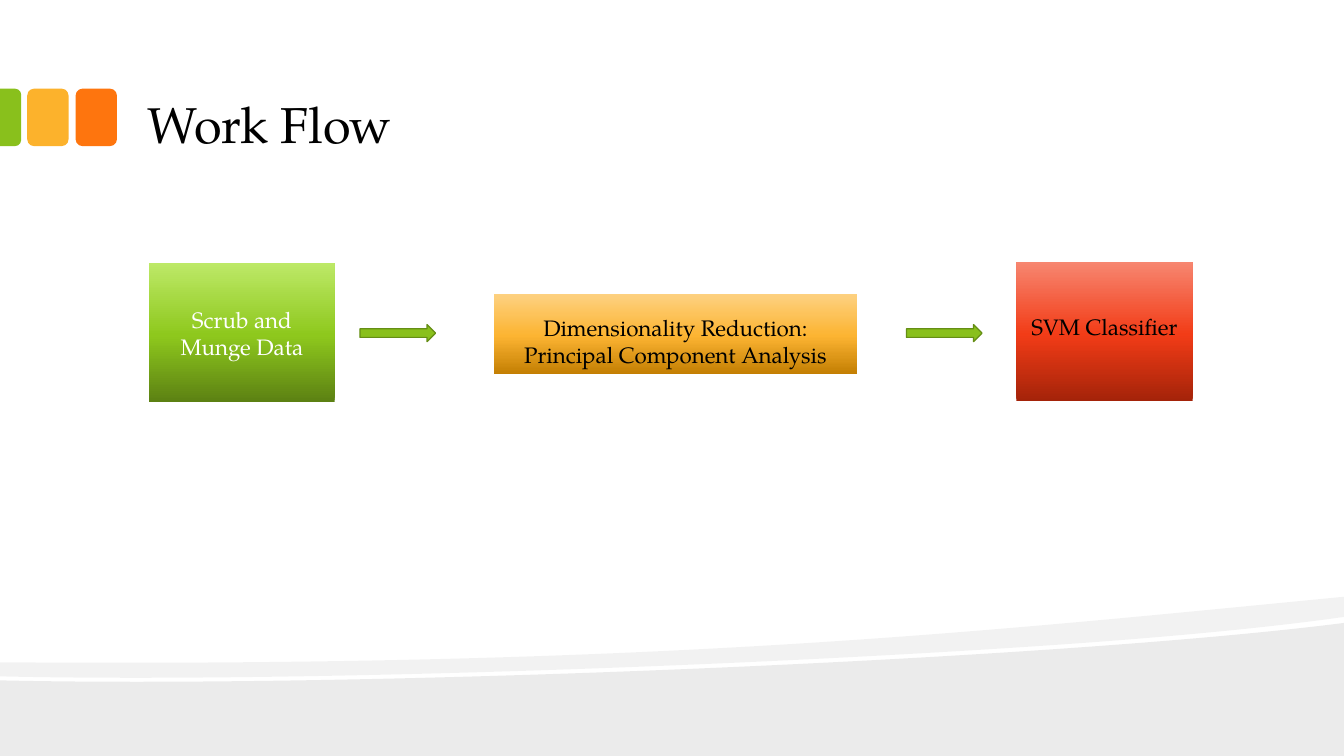
from copy import deepcopy
from dataclasses import dataclass

from lxml.etree import SubElement
from pptx import Presentation
from pptx.dml.color import RGBColor
from pptx.enum.shapes import MSO_SHAPE
from pptx.enum.text import MSO_ANCHOR, MSO_AUTO_SIZE, PP_ALIGN
from pptx.oxml.ns import qn
from pptx.util import Inches, Pt


@dataclass(frozen=True)
class Theme:
    font: str = "TeX Gyre Pagella"
    title_size: int = 36
    step_size: int = 16
    black: str = "000000"
    white: str = "FFFFFF"
    green: str = "89C01C"
    amber: str = "FCB22C"
    orange: str = "FE750E"
    arrow_edge: str = "658E15"
    green_gradient: tuple = ("5C8113", "8EC81D", "BDE967")
    amber_gradient: tuple = ("C47F03", "FCB432", "FDD180")
    red_gradient: tuple = ("A42309", "F23C17", "F78670")
    gradient_stops: tuple = (0, 0.48, 1)


THEME = Theme()


def rgb(value):
    return RGBColor.from_string(value)


def write_text(shape, text, *, size, color=THEME.black, align=PP_ALIGN.CENTER,
               anchor=MSO_ANCHOR.MIDDLE, insets=(0.1, 0.05, 0.1, 0.05)):
    """Fill the shape with one paragraph per line; insets run left, top, right, bottom."""
    frame = shape.text_frame
    frame.text = text
    frame.word_wrap = True
    frame.auto_size = MSO_AUTO_SIZE.NONE
    frame.vertical_anchor = anchor
    (frame.margin_left, frame.margin_top,
     frame.margin_right, frame.margin_bottom) = map(Inches, insets)
    for paragraph in frame.paragraphs:
        paragraph.alignment = align
        paragraph.font.name = THEME.font
        paragraph.font.size = Pt(size)
        paragraph.font.color.rgb = rgb(color)


def add_plain_shape(slide, kind, box, fill=None, edge=None):
    shape = slide.shapes.add_shape(kind, *map(Inches, box))
    shape.shadow.inherit = False
    if fill:
        shape.fill.solid()
        shape.fill.fore_color.rgb = rgb(fill)
    if edge:
        shape.line.color.rgb = rgb(edge)
        shape.line.width = Pt(0.85)
    else:
        shape.line.fill.background()
    return shape


def add_step(slide, kind, box, gradient, text, **text_format):
    step = add_plain_shape(slide, kind, box)
    step.fill.gradient()
    step.fill.gradient_angle = 90
    stop_list = step._element.spPr.find(".//" + qn("a:gsLst"))
    stop_list.append(deepcopy(stop_list[-1]))
    for stop, color, position in zip(step.fill.gradient_stops, gradient,
                                     THEME.gradient_stops):
        stop.color.rgb = rgb(color)
        stop.position = position
    write_text(step, text, size=THEME.step_size, **text_format)


def add_wave(slide, outline, curve_starts, opacity):
    """Draw a closed outline; three segments from each curve start become one Bezier."""
    points = [(Inches(x), Inches(y)) for x, y in outline]
    builder = slide.shapes.build_freeform(*points[0])
    builder.add_line_segments(points[1:], close=True)
    wave = builder.convert_to_shape()
    segments = wave._element.spPr.findall(".//" + qn("a:lnTo"))
    for first in curve_starts:
        bend, *rest = segments[first:first + 3]
        bezier = SubElement(bend.getparent(), qn("a:cubicBezTo"))
        bend.addprevious(bezier)
        for segment in (bend, *rest):
            bezier.append(segment[0])
            segment.getparent().remove(segment)
    wave.shadow.inherit = False
    wave.line.fill.background()
    wave.fill.solid()
    wave.fill.fore_color.rgb = rgb(THEME.black)
    color = wave._element.spPr.find(".//" + qn("a:srgbClr"))
    SubElement(color, qn("a:alpha"), val=str(opacity * 1000))


def add_waves(slide):
    add_wave(slide, [(0, 6.75), (3.52, 6.83), (10.42, 6.55), (13.33, 6.18),
                     (13.33, 7.5), (0, 7.5)], curve_starts=(0,), opacity=8)
    add_wave(slide, [(0, 6.57), (6.52, 6.62), (9.71, 6.27), (13.33, 5.92),
                     (13.33, 6.12), (12.56, 6.23), (11.49, 6.33), (10.29, 6.41),
                     (6.98, 6.63), (2.58, 6.77), (0, 6.71)],
             curve_starts=(0, 4, 7), opacity=5)


def add_title_tabs(slide):
    for left, color in ((0.75, THEME.orange), (0.27, THEME.amber)):
        add_plain_shape(slide, MSO_SHAPE.ROUNDED_RECTANGLE,
                        (left, 0.88, 0.41, 0.57), color)
    edge_tab = add_plain_shape(slide, MSO_SHAPE.ROUND_2_SAME_RECTANGLE,
                               (-0.18, 1.06, 0.57, 0.21), THEME.green)
    edge_tab.rotation = 90
    edge_tab.adjustments[0] = 0.29
    edge_tab.adjustments[1] = 0


def add_title(slide, text):
    title = slide.shapes.title
    title.left, title.top, title.width, title.height = map(
        Inches, (1.33, 0.17, 10.67, 1.42))
    write_text(title, text, size=THEME.title_size, align=PP_ALIGN.LEFT,
               anchor=MSO_ANCHOR.BOTTOM, insets=(0.13, 0.07, 0.13, 0.07))


def main():
    deck = Presentation()
    deck.slide_width, deck.slide_height = Inches(13.33), Inches(7.5)
    slide = deck.slides.add_slide(deck.slide_layouts[5])

    add_waves(slide)
    add_title_tabs(slide)
    add_title(slide, "Work Flow")

    add_step(slide, MSO_SHAPE.FLOWCHART_PROCESS, (1.48, 2.61, 1.84, 1.38),
             THEME.green_gradient, "Scrub and Munge Data", color=THEME.white)
    add_step(slide, MSO_SHAPE.RECTANGLE, (4.9, 2.92, 3.6, 0.79),
             THEME.amber_gradient,
             "Dimensionality Reduction:\nPrincipal Component Analysis",
             anchor=MSO_ANCHOR.TOP, insets=(0.1, 0.2, 0.1, 0.05))
    add_step(slide, MSO_SHAPE.RECTANGLE, (10.08, 2.6, 1.75, 1.38),
             THEME.red_gradient, "SVM Classifier", insets=(0.1, 0.2, 0.1, 0.3))
    for left in (3.57, 8.99):
        add_plain_shape(slide, MSO_SHAPE.RIGHT_ARROW, (left, 3.22, 0.75, 0.17),
                        THEME.green, THEME.arrow_edge)

    deck.save("out.pptx")


if __name__ == "__main__":
    main()
